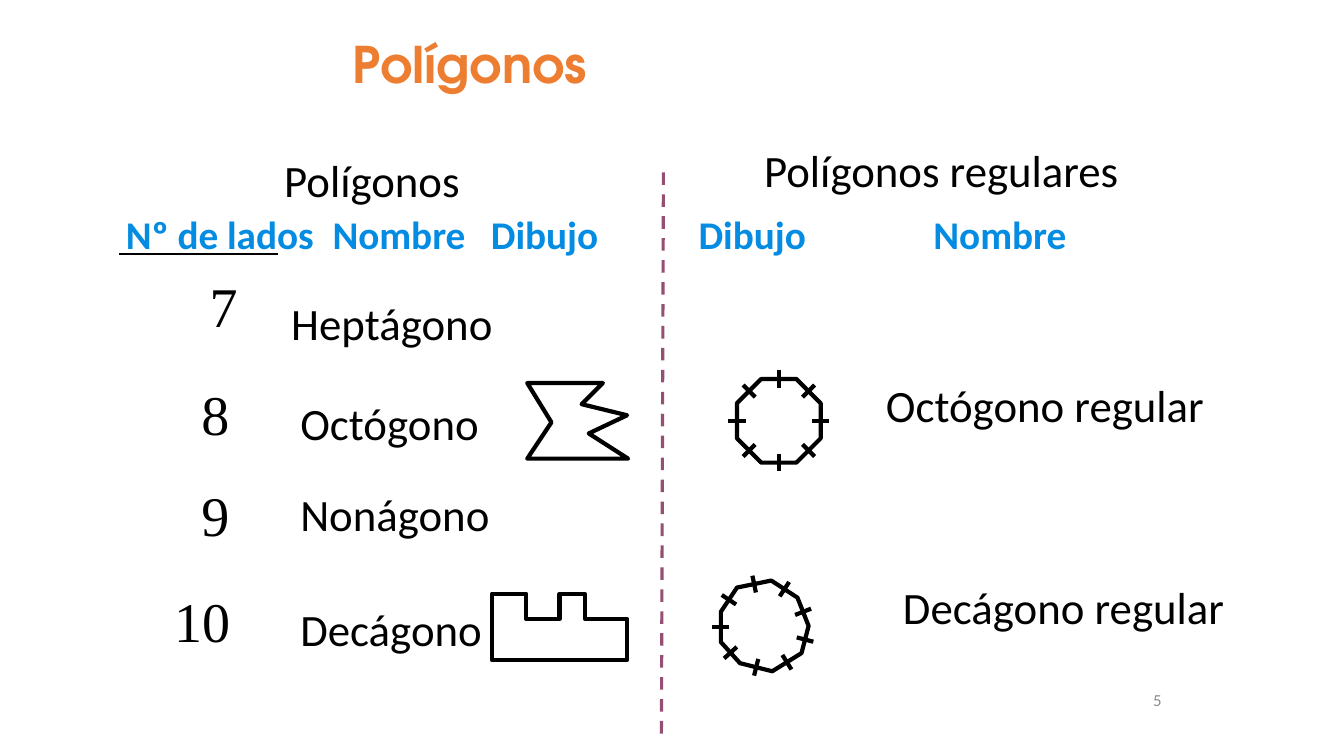
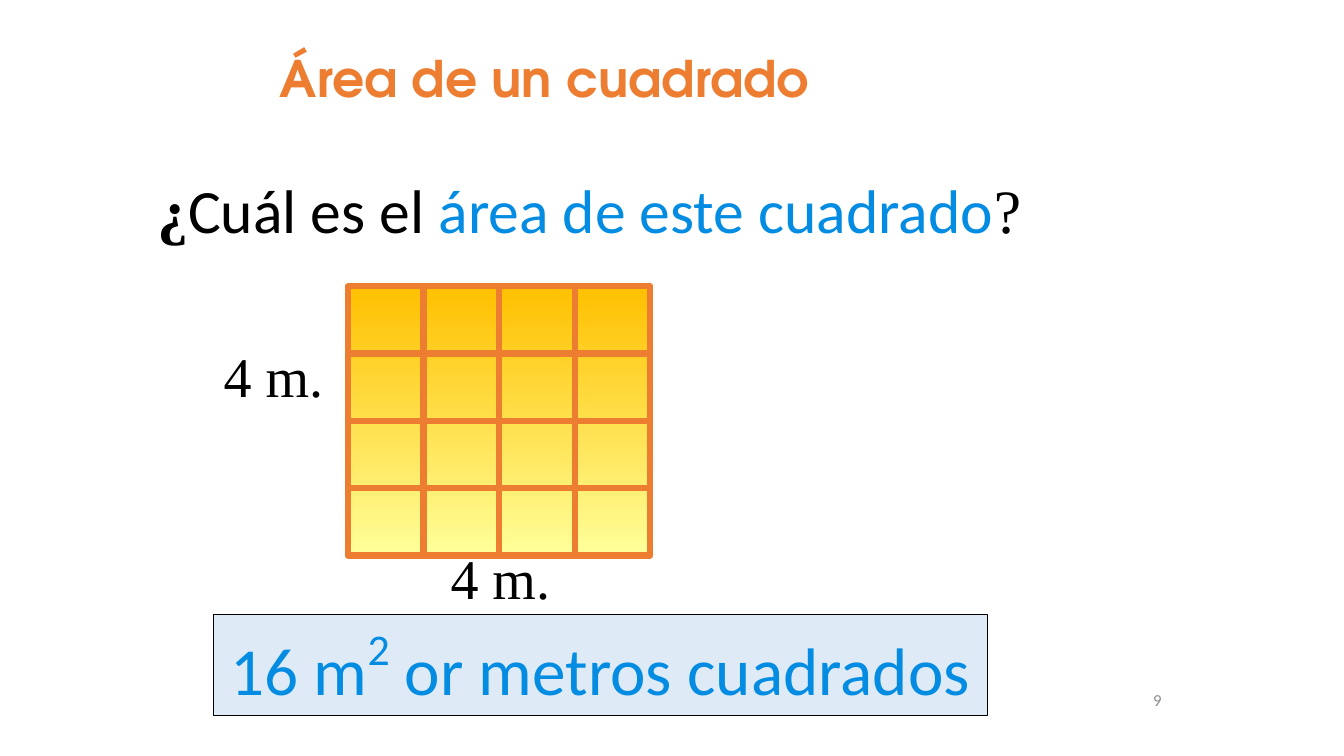
from math import hypot

from lxml import etree
from pptx import Presentation
from pptx.dml.color import RGBColor
from pptx.enum.dml import MSO_LINE
from pptx.enum.shapes import MSO_CONNECTOR, MSO_SHAPE
from pptx.enum.text import MSO_ANCHOR, MSO_AUTO_SIZE, PP_ALIGN
from pptx.oxml.ns import qn
from pptx.util import Inches, Pt

LEFT, MID, RIGHT = PP_ALIGN.LEFT, PP_ALIGN.CENTER, PP_ALIGN.RIGHT
TOP, CENTER = MSO_ANCHOR.TOP, MSO_ANCHOR.MIDDLE
FIXED = MSO_AUTO_SIZE.NONE
RECT, OCTAGON = MSO_SHAPE.RECTANGLE, MSO_SHAPE.OCTAGON
STRAIGHT, DASH = MSO_CONNECTOR.STRAIGHT, MSO_LINE.DASH

BLACK, BLUE, ORANGE, GREY = "000000", "038CE1", "ED7D31", "8C8C8C"
PLUM, GOLD, LEMON, PALE = "954F72", "FFC000", "FFFF99", "DEEBF7"
SANS, SERIF, HEAD = "Calibri", "Times New Roman", "TeX Gyre Adventor"
TICK = 0.17
CUT = 0.29


def rgb(color):
    return RGBColor.from_string(color)


# Text
def write(frame, runs, align=LEFT, anchor=TOP, wrap=False, space=None):
    """Each run is (text, size, color, font, bold, baseline), the last two optional."""
    frame.word_wrap = wrap
    frame.auto_size = FIXED
    frame.vertical_anchor = anchor
    para = frame.paragraphs[0]
    para.alignment = align
    if space:
        para.line_spacing = space
    for words, size, color, face, *rest in runs:
        run = para.add_run()
        run.text = words
        font = run.font
        font.size, font.name = Pt(size), face
        font.color.rgb = rgb(color)
        font.bold = bool(rest and rest[0])
        if len(rest) > 1:
            run._r.get_or_add_rPr().set("baseline", str(rest[1] * 1000))


def place(shape, box):
    shape.left, shape.top, shape.width, shape.height = map(Inches, box)


def text(slide, box, runs, **style):
    label = slide.shapes.add_textbox(*map(Inches, box))
    write(label.text_frame, runs, **style)


def label(slide, left, top, width, words, size=32, color=BLACK, face=SANS,
          bold=False, **style):
    high = round(size * 1.22 / 72 + 0.1, 2)
    text(slide, (left, top, width, high), [(words, size, color, face, bold)], **style)


# Lines and shapes
def line(shapes, start, end, color=BLACK, width=3):
    link = shapes.add_connector(STRAIGHT, *map(Inches, (*start, *end)))
    link.line.color.rgb = rgb(color)
    link.line.width = Pt(width)
    etree.SubElement(link._element.spPr, qn("a:effectLst"))
    return link


def edge(shape, color=BLACK, width=3):
    shape.shadow.inherit = False
    shape.line.color.rgb = rgb(color)
    shape.line.width = Pt(width)


def outline(shapes, points):
    spots = [(Inches(x), Inches(y)) for x, y in points]
    pen = shapes.build_freeform(*spots[0], scale=1.0)
    pen.add_line_segments(spots[1:], close=True)
    shape = pen.convert_to_shape()
    shape.fill.background()
    edge(shape)


def shift(left, top, points):
    return [(left + x, top + y) for x, y in points]


def ticks(shapes, points):
    """Cross the middle of every side with a short mark."""
    for (x1, y1), (x2, y2) in zip(points, points[1:] + points[:1]):
        x, y = (x1 + x2) / 2, (y1 + y2) / 2
        scale = TICK / 2 / hypot(x2 - x1, y2 - y1)
        dx, dy = (y2 - y1) * scale, (x1 - x2) * scale
        line(shapes, (x - dx, y - dy), (x + dx, y + dy))


# Shared frame: title and page number
def base(deck, title, box, page):
    slide = deck.slides.add_slide(deck.slide_layouts[5])
    place(slide.shapes.title, box)
    write(slide.shapes.title.text_frame, [(title, 36, ORANGE, HEAD, True)], align=MID)
    text(slide, (9.29, 6.74, 2.33, 0.4), [(page, 12, GREY, SANS)],
         align=RIGHT, anchor=CENTER, wrap=True)
    return slide


# Regular polygons with marked sides
def octagon(slide, left, top, side):
    group = slide.shapes.add_group_shape().shapes
    shape = group.add_shape(OCTAGON, *map(Inches, (left, top, side, side)))
    shape.adjustments[0] = CUT
    shape.fill.background()
    edge(shape)
    near, far = side * CUT, side * (1 - CUT)
    ticks(group, shift(left, top, [
        (near, 0), (far, 0), (side, near), (side, far),
        (far, side), (near, side), (0, far), (0, near)]))


def ring(slide, left, top):
    points = shift(left, top, [
        (0.16, 0.07), (0.5, 0), (0.76, 0.17), (0.87, 0.45), (0.8, 0.72),
        (0.51, 0.9), (0.19, 0.82), (0, 0.61), (0, 0.31)])
    group = slide.shapes.add_group_shape().shapes
    outline(group, points)
    ticks(group, points)


# Irregular polygons
def star(slide, left, top):
    outline(slide.shapes, shift(left, top, [
        (0, 0), (0.24, 0.39), (0, 0.75), (1, 0.75),
        (0.61, 0.5), (0.99, 0.32), (0.54, 0.21), (0.75, 0)]))


def castle(slide, left, top):
    outline(slide.shapes, shift(left, top, [
        (0, 0), (0, 0.66), (1.34, 0.66), (1.34, 0.25), (0.92, 0.25),
        (0.92, 0), (0.67, 0), (0.67, 0.25), (0.34, 0.25), (0.34, 0)]))


def shapes_page(deck):
    slide = base(deck, "Polígonos", (1.91, 0.28, 5.5, 0.92), "5")
    label(slide, 2.72, 1.47, 1.96, "Polígonos")
    label(slide, 7.48, 1.37, 3.75, "Polígonos regulares")

    # Column heads
    for left, width, words in [
            (1.15, 2.09, "Nº de lados"), (3.2, 1.54, "Nombre"), (4.77, 1.28, "Dibujo"),
            (6.83, 1.28, "Dibujo"), (9.16, 1.54, "Nombre")]:
        label(slide, left, 2.04, width, words, 28, BLUE, bold=True)
    line(slide.shapes, (1.18, 2.52), (2.76, 2.52), width=1.5)
    split = line(slide.shapes, (6.58, 1.71), (6.56, 7.3), PLUM, 2.25)
    split.line.dash_style = DASH

    # Rows: count and name
    for count, x, y, wide, name, left, top, width in [
            ("7", 1.98, 2.64, 0.48, "Heptágono", 2.79, 2.88, 2.22),
            ("8", 1.9, 3.72, 0.48, "Octógono", 2.88, 3.88, 1.99),
            ("9", 1.9, 4.72, 0.48, "Nonágono", 2.88, 4.78, 2.1),
            ("10", 1.63, 5.77, 0.76, "Decágono", 2.88, 5.92, 2.02)]:
        label(slide, x, y, wide, count, 40, face=SERIF)
        label(slide, left, top, width, name)
    label(slide, 8.67, 3.8, 3.39, "Octógono regular", align=MID, space=0.8)
    label(slide, 8.83, 5.81, 3.44, "Decágono regular", align=MID, space=0.8)

    # Drawings
    star(slide, 5.23, 3.8)
    castle(slide, 4.88, 5.89)
    octagon(slide, 7.31, 3.76, 0.83)
    ring(slide, 7.15, 5.76)


# Square cut into equal cells
def grid(slide, left, top, width, height, count):
    square = slide.shapes.add_shape(RECT, *map(Inches, (left, top, width, height)))
    square.fill.gradient()
    square.fill.gradient_angle = 270
    for stop, color in zip(square.fill.gradient_stops, (GOLD, LEMON)):
        stop.color.rgb = rgb(color)
    edge(square, ORANGE, 4.5)
    for i in range(1, count):
        x, y = left + width * i / count, top + height * i / count
        row = line(slide.shapes, (left, y), (left + width, y), ORANGE, 4.5)
        col = line(slide.shapes, (x, top), (x, top + height), ORANGE, 4.5)
        if i * 2 == count:
            row.begin_connect(square, 1)
            row.end_connect(square, 3)
            col.begin_connect(square, 0)
            col.end_connect(square, 2)


def answer(slide, box):
    panel = slide.shapes.add_shape(RECT, *map(Inches, box))
    panel.fill.solid()
    panel.fill.fore_color.rgb = rgb(PALE)
    edge(panel, BLACK, 0.75)
    write(panel.text_frame, [
        ("16 m", 48, BLUE, SANS), ("2", 54, BLUE, SANS, False, 40),
        (" or metros cuadrados", 48, BLUE, SANS)], align=MID, anchor=CENTER)


def area_page(deck):
    slide = base(deck, "Área de un cuadrado", (1.86, 0.42, 7.08, 0.92), "9")
    text(slide, (1.18, 1.66, 9.33, 0.92), [
        ("¿", 44, BLACK, SERIF, True), ("Cuál es el ", 44, BLACK, SANS),
        ("área de este cuadrado", 44, BLUE, SANS), ("?", 44, BLACK, SERIF)],
        align=MID, anchor=CENTER, wrap=True, space=0.9)
    label(slide, 2.12, 3.34, 1.19, "4 m.", 40, face=SERIF)
    label(slide, 4.37, 5.34, 1.25, "4 m.", 40, face=SERIF)
    grid(slide, 3.45, 2.84, 3, 2.67, 4)
    answer(slide, (2.12, 6.1, 7.67, 1))


def main():
    deck = Presentation()
    deck.slide_width, deck.slide_height = Inches(13.33), Inches(7.5)
    shapes_page(deck)
    area_page(deck)
    deck.save("out.pptx")


if __name__ == "__main__":
    main()
